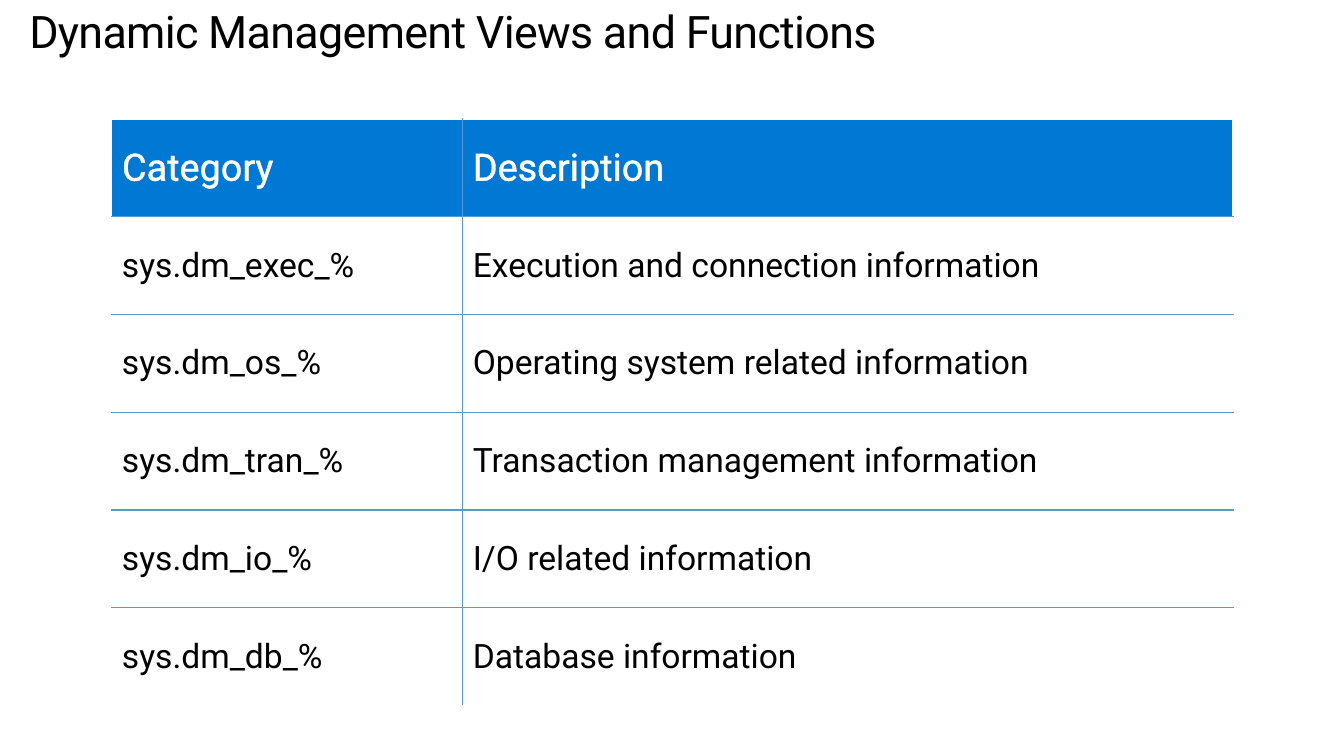
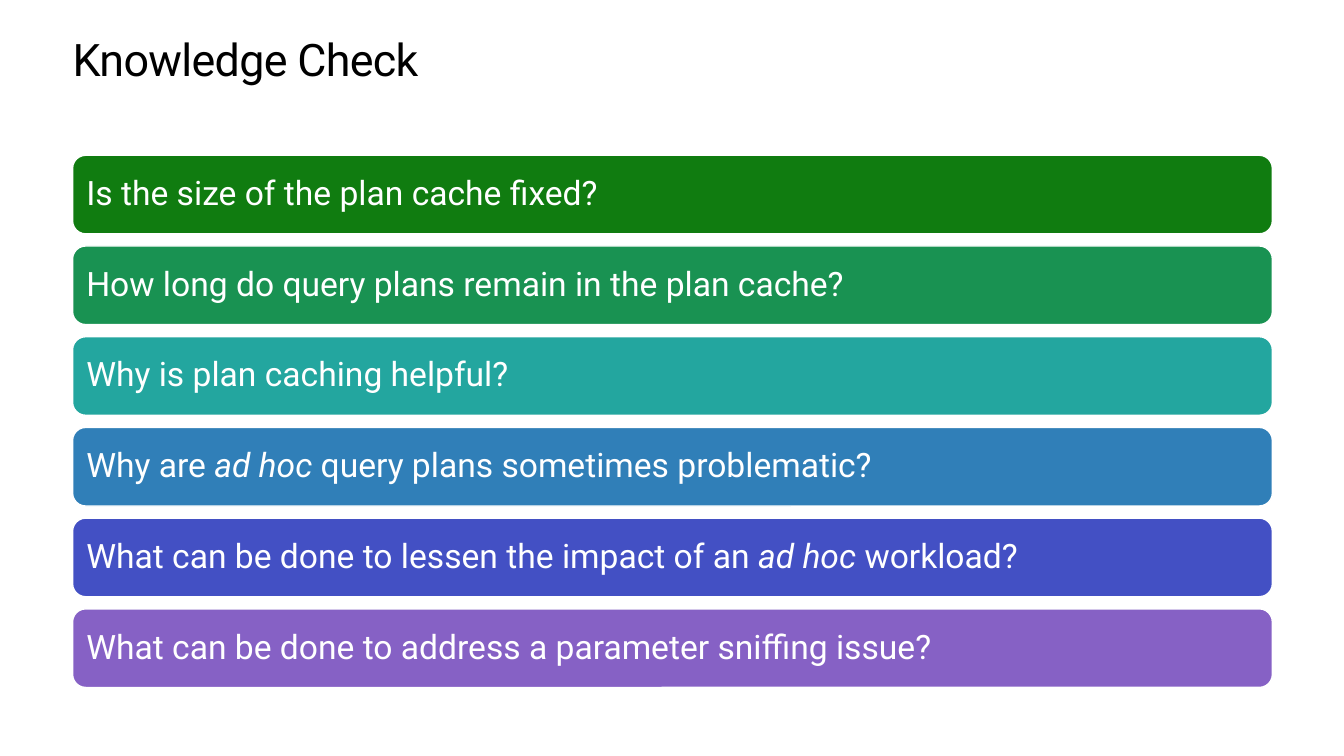
from lxml.etree import SubElement
from pptx import Presentation
from pptx.dml.color import RGBColor
from pptx.enum.shapes import MSO_SHAPE
from pptx.enum.text import MSO_ANCHOR
from pptx.oxml.ns import qn
from pptx.util import Inches, Pt

FONT = "Roboto"
BLACK, WHITE = "000000", "FFFFFF"
BLUE, RULE = "0078D4", "569AD2"

ROWS = [
    ("Category", "Description"),
    ("sys.dm_exec_%", "Execution and connection information"),
    ("sys.dm_os_%", "Operating system related information"),
    ("sys.dm_tran_%", "Transaction management information"),
    ("sys.dm_io_%", "I/O related information"),
    ("sys.dm_db_%", "Database information"),
]
# Asterisks enclose italic words.
CHECKS = [
    ("Is the size of the plan cache fixed?", "107C10"),
    ("How long do query plans remain in the plan cache?", "199252"),
    ("Why is plan caching helpful?", "23A69F"),
    ("Why are *ad hoc* query plans sometimes problematic?", "307FB8"),
    ("What can be done to lessen the impact of an *ad hoc* workload?", "4350C4"),
    ("What can be done to address a parameter sniffing issue?", "8661C5"),
]


def color(code):
    return RGBColor.from_string(code)


def add_line(parent, tag, code, width):
    """Append a solid line of the given tag to an XML element."""
    line = SubElement(parent, qn(tag), w=str(Pt(width)))
    fill = SubElement(line, qn("a:solidFill"))
    SubElement(fill, qn("a:srgbClr"), val=code)


def write(frame, text, size=24, ink=BLACK, lead=None, track=None, edge=None):
    """Fill a frame with one paragraph; edge is the colour of a text outline."""
    frame.word_wrap = True
    para = frame.paragraphs[0]
    if lead:
        para.line_spacing = lead
    for i, part in enumerate(text.split("*")):
        run = para.add_run()
        run.text = part
        props = run.font._element if hasattr(run.font, "_element") else run._r.get_or_add_rPr()
        if edge:
            add_line(props, "a:ln", edge, 0.75)
        if track:
            props.set("spc", str(track))
        font = run.font
        font.name, font.size = FONT, Pt(size)
        font.bold, font.italic = False, i % 2 == 1
        font.color.rgb = color(ink)


def set_pads(frame, side, end):
    frame.margin_left = frame.margin_right = Inches(side)
    frame.margin_top = frame.margin_bottom = Inches(end)


def add_title(slide, text, left, top, width):
    box = slide.shapes.add_textbox(
        Inches(left), Inches(top), Inches(width), Inches(0.5))
    set_pads(box.text_frame, 0, 0)
    write(box.text_frame, text, size=32, lead=Pt(36.2), track=-50)


def add_grid(slide, rows, left, top, widths, height):
    """Add a table with inner rules only and a filled head row."""
    last, end = len(rows) - 1, len(widths) - 1
    grid = slide.shapes.add_table(
        len(rows), len(widths), Inches(left), Inches(top),
        Inches(sum(widths)), Inches(height * len(rows))).table
    grid.first_row = grid.horz_banding = False
    for col, width in zip(grid.columns, widths):
        col.width = Inches(width)
    for r, row in enumerate(rows):
        grid.rows[r].height = Inches(height)
        for c, text in enumerate(row):
            cell = grid.cell(r, c)
            cell.vertical_anchor = MSO_ANCHOR.MIDDLE
            props = cell._tc.get_or_add_tcPr()
            outer = {"L": c == 0, "R": c == end, "T": r == 0, "B": r == last}
            for side, out in outer.items():
                add_line(props, "a:ln" + side, WHITE if out else RULE, 1)
            cell.fill.solid()
            cell.fill.fore_color.rgb = color(WHITE if r else BLUE)
            if r:
                write(cell.text_frame, text)
            else:
                write(cell.text_frame, text, size=27, ink=WHITE, edge=WHITE)


def add_bar(slide, text, fill, left, top, width, height):
    bar = slide.shapes.add_shape(
        MSO_SHAPE.ROUNDED_RECTANGLE,
        Inches(left), Inches(top), Inches(width), Inches(height))
    bar.shadow.inherit = False
    bar.fill.solid()
    bar.fill.fore_color.rgb = color(fill)
    bar.line.color.rgb = color(WHITE)
    bar.line.width = Pt(1)
    frame = bar.text_frame
    frame.vertical_anchor = MSO_ANCHOR.MIDDLE
    # The rounded corners of the bar add about 0.04 to each pad.
    set_pads(frame, 0.1, 0.1)
    write(frame, text, ink=WHITE, lead=0.9)
    frame.paragraphs[0].alignment = 1


def main():
    deck = Presentation()
    deck.slide_width, deck.slide_height = Inches(13.33), Inches(7.5)
    blank = deck.slide_layouts[6]

    views = deck.slides.add_slide(blank)
    add_title(views, "Dynamic Management Views and Functions", 0.29, 0.07, 12.75)
    add_grid(views, ROWS, 1.11, 1.18, (3.48, 7.64), 0.97)

    check = deck.slides.add_slide(blank)
    add_title(check, "Knowledge Check", 0.72, 0.35, 11.9)
    for i, (text, fill) in enumerate(CHECKS):
        add_bar(check, text, fill, 0.72, 1.54 + 0.9 * i, 11.9, 0.78)

    deck.save("out.pptx")


if __name__ == "__main__":
    main()
